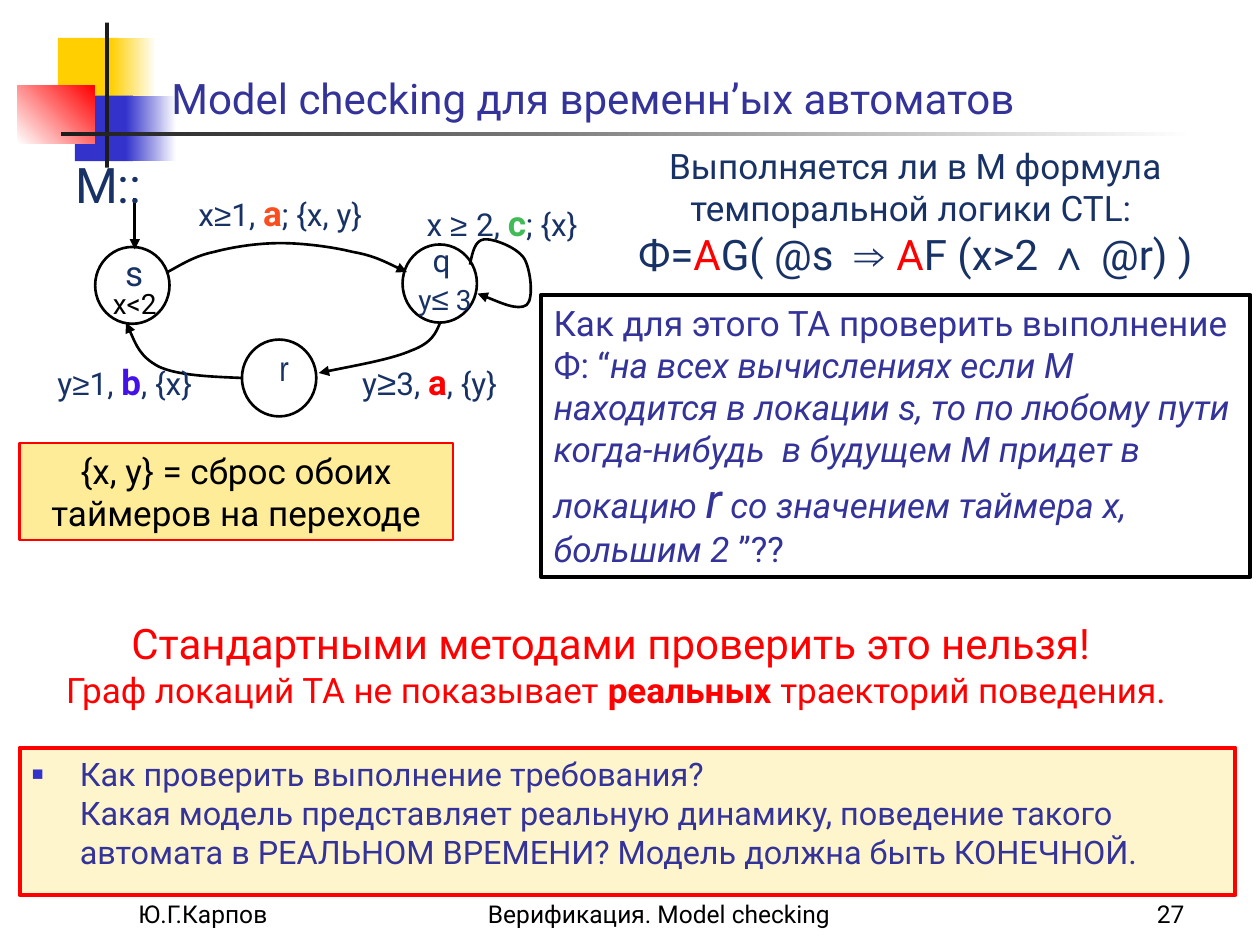
from lxml import etree
from pptx import Presentation
from pptx.dml.color import RGBColor
from pptx.enum.shapes import MSO_CONNECTOR, MSO_SHAPE
from pptx.enum.text import MSO_ANCHOR, MSO_AUTO_SIZE, PP_ALIGN
from pptx.oxml.ns import qn
from pptx.util import Inches, Pt

RECT, OVAL = MSO_SHAPE.RECTANGLE, MSO_SHAPE.OVAL
LEFT, CENTER, RIGHT = PP_ALIGN.LEFT, PP_ALIGN.CENTER, PP_ALIGN.RIGHT
TOP, BOTTOM = MSO_ANCHOR.TOP, MSO_ANCHOR.BOTTOM

COLORS = {
    "black": "000000", "ink": "1C1C1C", "white": "FFFFFF", "gold": "FFCF01",
    "blue": "3333CC", "red": "FF0000", "indigo": "333399", "navy": "183266",
    "orange": "FB4E1F", "green": "41BB55", "violet": "4412E6",
    "cream": "FFF5CC", "butter": "FFEC99",
}
RGB = {name: RGBColor.from_string(value) for name, value in COLORS.items()}
FONT = "Roboto"
CELL = Inches(0.1)  # the slide is a grid of 100 columns by 75 rows
ARIAL = {"name": "Arial"}


def cells(*counts):
    """Turn counts of grid cells into lengths."""
    return [round(count * CELL) for count in counts]


def write(shape, paragraphs, size, color, align=LEFT, anchor=TOP):
    """Fill a shape with paragraphs, each a list of strings or (string, font changes)."""
    frame = shape.text_frame
    frame.word_wrap = True
    frame.auto_size = MSO_AUTO_SIZE.NONE
    frame.vertical_anchor = anchor
    for index, spans in enumerate(paragraphs):
        para = frame.add_paragraph() if index else frame.paragraphs[0]
        para.alignment = align
        para.font.name, para.font.size = FONT, Pt(size)
        para.font.color.rgb = RGB[color]
        for item in spans:
            text, changes = (item, {}) if isinstance(item, str) else item
            if text == "\n":
                para.add_line_break()
                continue
            span = para.add_run()
            span.text = text
            for key, value in changes.items():
                if key == "color":
                    span.font.color.rgb = RGB[value]
                else:
                    setattr(span.font, key, Pt(value) if key == "size" else value)


deck = Presentation()
deck.slide_width, deck.slide_height = cells(100, 75)
page = deck.slides.add_slide(deck.slide_layouts[5])

# Corner ornament and title rule: place, start colour, end colour, angle
ornament = [
    ((4.6, 3, 4.8, 5.2), "gold", None, 0),
    ((8.8, 3, 3.6, 5.2), "gold", "white", 0),
    ((5.95, 7.6, 4.6, 5.2), "blue", None, 0),
    ((10, 7.6, 4, 5.2), "blue", "white", 0),
    ((1.4, 6.8, 6.1, 4.6), "white", "red", 45),
    ((8.35, 1.8, 0.3, 11.5), "ink", None, 0),
    ((4.85, 10.5, 90, 0.3), "ink", "white", 0),
]
for place, start, end, angle in ornament:
    block = page.shapes.add_shape(RECT, *cells(*place))
    block.shadow.inherit = False
    block.line.fill.background()
    if end:
        block.fill.gradient()
        block.fill.gradient_angle = angle
        for stop, name in zip(block.fill.gradient_stops, (start, end)):
            stop.color.rgb = RGB[name]
    else:
        block.fill.solid()
        block.fill.fore_color.rgb = RGB[start]

title = page.shapes.title
page.shapes.element.append(title.element)  # the title lies over the ornament
title.left, title.top, title.width, title.height = cells(12.6, 2.25, 85.2, 8)
write(title, [["Model checking для временн’ых автоматов"]], 24, "indigo", LEFT, BOTTOM)

# Locations of the automaton
for place in [(7.55, 19.6, 5.9, 6.1), (31.95, 19.4, 5.9, 6.2), (19.2, 26.95, 5.9, 6.1)]:
    location = page.shapes.add_shape(OVAL, *cells(*place))
    location.shadow.inherit = False
    location.fill.background()
    location.line.color.rgb, location.line.width = RGB["black"], Pt(1.5)

# Transitions: a start point, then Bezier segments of two handles and an end
transitions = [
    [(13.3, 21.6), (14.4, 21), (15.5, 20.3), (17, 20), (18.5, 19.6), (20.4, 19.3), (22.3, 19.3),
     (24.1, 19.3), (26.4, 19.6), (28, 20), (29.7, 20.3), (31, 21), (32.3, 21.6)],
    [(37.3, 21), (37.5, 20), (37.7, 19.1), (38.4, 19), (39.1, 18.9), (41, 19.6), (41.6, 20.5),
     (42.1, 21.3), (42.4, 23.7), (41.8, 24.2), (41.1, 24.7), (38.5, 23.5), (37.9, 23.3)],
    [(34.9, 25.7), (34.6, 26.4), (34.3, 27.2), (32.7, 27.8), (31.1, 28.5), (28.2, 29), (25.3, 29.6)],
    [(19.2, 30), (16.7, 29.9), (14.1, 29.8), (12.6, 29.1), (11.1, 28.3), (10.6, 26.9), (10, 25.6)],
]
arrows = []
for start, *points in transitions:
    builder = page.shapes.build_freeform(*cells(*start))
    builder.add_line_segments([cells(*point) for point in points], close=False)
    curve = builder.convert_to_shape()
    curve.shadow.inherit = False
    curve.fill.background()
    # Every three straight segments become one Bezier segment
    outline = next(curve.element.iter(qn("a:path")))
    sides = outline.findall(qn("a:lnTo"))
    for first in range(0, len(sides), 3):
        bend = etree.SubElement(outline, qn("a:cubicBezTo"))
        for side in sides[first:first + 3]:
            bend.append(side[0])
            outline.remove(side)
    arrows.append(curve)

entry = page.shapes.add_connector(MSO_CONNECTOR.STRAIGHT, *cells(10.7, 15.7, 10.7, 19.8))
etree.SubElement(entry.element.spPr, qn("a:effectLst"))
arrows.append(entry)
for arrow in arrows:
    arrow.line.color.rgb, arrow.line.width = RGB["black"], Pt(1.5)
    etree.SubElement(arrow.line._get_or_add_ln(), qn("a:tailEnd"), type="triangle")

# Labels of locations and single texts: place, spans, size, colour
labels = [
    ((3.1, 11.75, 11, 5.7), ["M::"], 28, "navy"),
    ((7, 19.45, 7.3, 4.4), ["s"], 20, "navy"),
    ((7.55, 22.25, 6.3, 3.7), ["x<2"], 16, "black"),
    ((31.25, 18.65, 7.6, 7),
     [("q", {"size": 18}), "\n", " y", ("≤", {"size": 18, **ARIAL}), " 3"], 16, "navy"),
    ((18.9, 27, 7.3, 4.4), [("r", {"name": "Arial Narrow"})], 20, "navy"),
    ((48.45, 10.95, 48.4, 11.7),
     [("Выполняется ли в М формула темпоральной логики CTL: ", {"size": 20}), "\n",
      "Ф=", ("A", {"color": "red"}), "G( @s  ", ("⇒ ", ARIAL), ("A", {"color": "red"}),
      "F (x>2 ", ("∧", ARIAL), " @r) )"], 24, "navy"),
]
# Transition labels: place, clock, sign, sign size, bound, action, action colour, reset
guards = [
    ((13.25, 14.7, 18, 4.4), "x", "≥", 18, "1, ", "a", "orange", "; {x, y}"),
    ((26, 28.15, 16.2, 4.4), "y", "≥", 20, "3, ", "a", "red", ", {y}"),
    ((30.45, 15.5, 18.8, 4.4), "x ", "≥ ", 18, "2, ", "c", "green", "; {x}"),
    ((1.55, 28.15, 16.7, 4.4), "y", "≥", 18, "1, ", "b", "violet", ", {x}"),
]
for place, clock, sign, sign_size, bound, action, color, reset in guards:
    spans = [clock, (sign, {"size": sign_size, **ARIAL}), bound,
             (action, {"size": 20, "bold": True, "color": color}), reset]
    labels.append((place, spans, 18, "navy"))
for place, spans, size, color in labels:
    write(page.shapes.add_textbox(*cells(*place)), [spans], size, color, CENTER)

verdict = page.shapes.add_textbox(*cells(0.45, 48.55, 96.9, 8.4))
write(verdict, [
    [("Стандартными методами проверить это нельзя! ", {"size": 24})],
    ["Граф локаций ТА не показывает ", ("реальных", {"bold": True}), " траекторий поведения."],
], 20, "red", CENTER)

# Framed panels: place, fill, line colour, line width, spans, size, colour, alignment
italic = {"italic": True}
panels = [
    ((42.95, 23.4, 56.3, 22.4), None, "black", 2.25,
     ["Как для этого ТА проверить выполнение Ф: “",
      ("на всех вычислениях если M находится в локации s, то по любому пути "
       "когда-нибудь  в будущем М придет в локацию ", italic),
      ("r", {"size": 28, **italic}),
      (" со значением таймера х, большим 2 ", italic), "”??"], 20, "indigo", LEFT),
    ((1.55, 35.15, 34.4, 7.7), "butter", "red", 1.5,
     ["{x, y} = сброс обоих таймеров на переходе"], 20, "black", CENTER),
    ((1.55, 59.35, 96.5, 11.7), "cream", "red", 2.25,
     ["Как проверить выполнение требования? ", "\n",
      "Какая модель представляет реальную динамику, поведение такого автомата "
      "в РЕАЛЬНОМ ВРЕМЕНИ? Модель должна быть КОНЕЧНОЙ."], 18.5, "indigo", LEFT),
]
for place, fill, edge, weight, spans, size, color, align in panels:
    panel = page.shapes.add_shape(RECT, *cells(*place))
    panel.shadow.inherit = False
    if fill:
        panel.fill.solid()
        panel.fill.fore_color.rgb = RGB[fill]
    else:
        panel.fill.background()
    panel.line.color.rgb, panel.line.width = RGB[edge], Pt(weight)
    if fill == "cream":  # the closing question carries a square bullet
        indent = cells(3.8)[0]
        props = panel.text_frame.paragraphs[0]._p.get_or_add_pPr()
        props.set("marL", str(indent))
        props.set("indent", str(-indent))
        bullet_color = etree.SubElement(props, qn("a:buClr"))
        etree.SubElement(bullet_color, qn("a:srgbClr"), val=COLORS["blue"])
        etree.SubElement(props, qn("a:buSzPct"), val="60000")
        etree.SubElement(props, qn("a:buFont"), typeface="Arial")
        etree.SubElement(props, qn("a:buChar"), char="■")
    write(panel, [spans], size, color, align)

footers = [
    (10, 20.8, "Ю.Г.Карпов", LEFT),
    (36.7, 31.7, "Верификация. Model checking ", CENTER),
    (74.2, 20.8, "27", RIGHT),
]
for left, width, text, align in footers:
    footer = page.shapes.add_textbox(*cells(left, 69.2, width, 5))
    write(footer, [[text]], 14, "black", align, BOTTOM)

deck.save("out.pptx")
